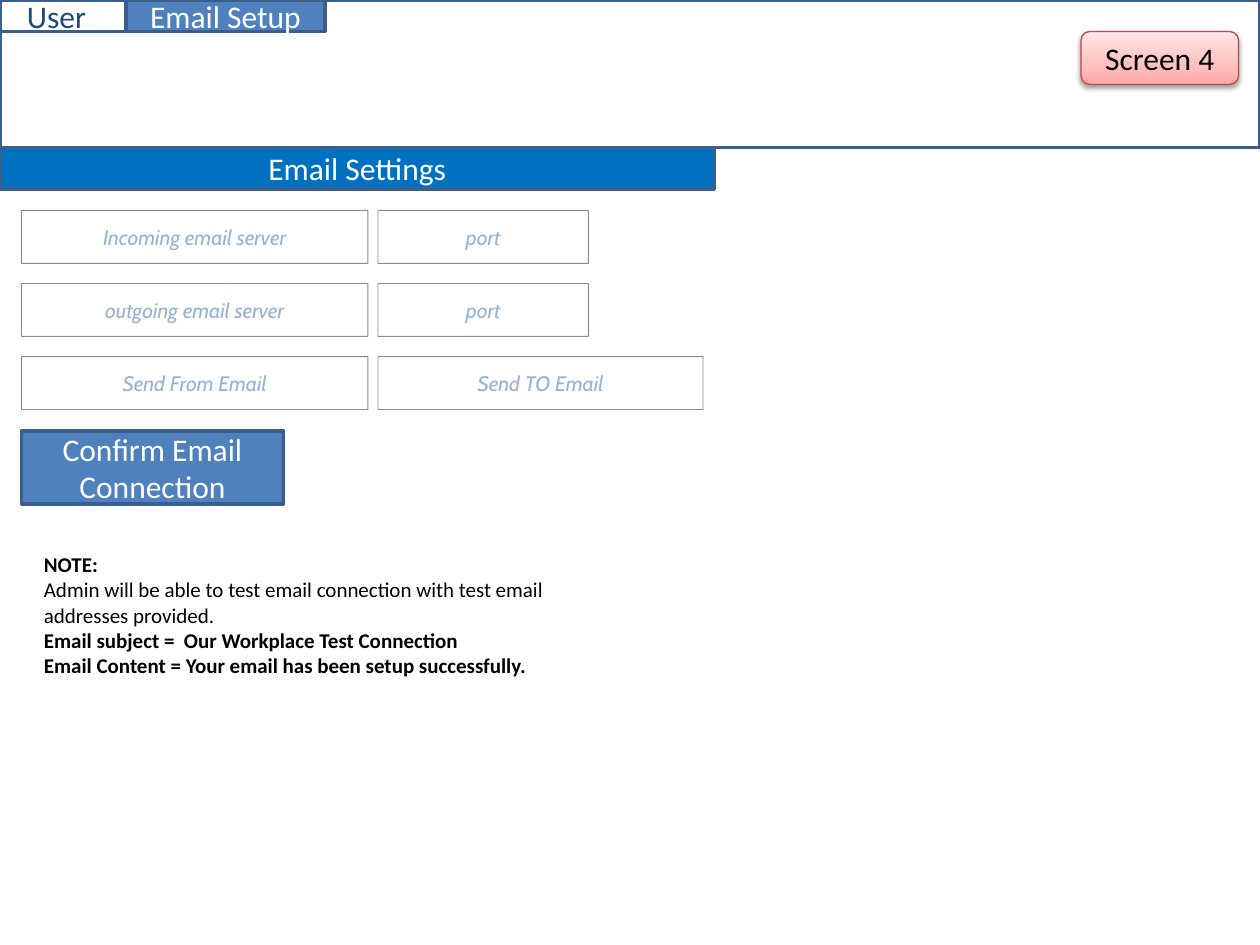
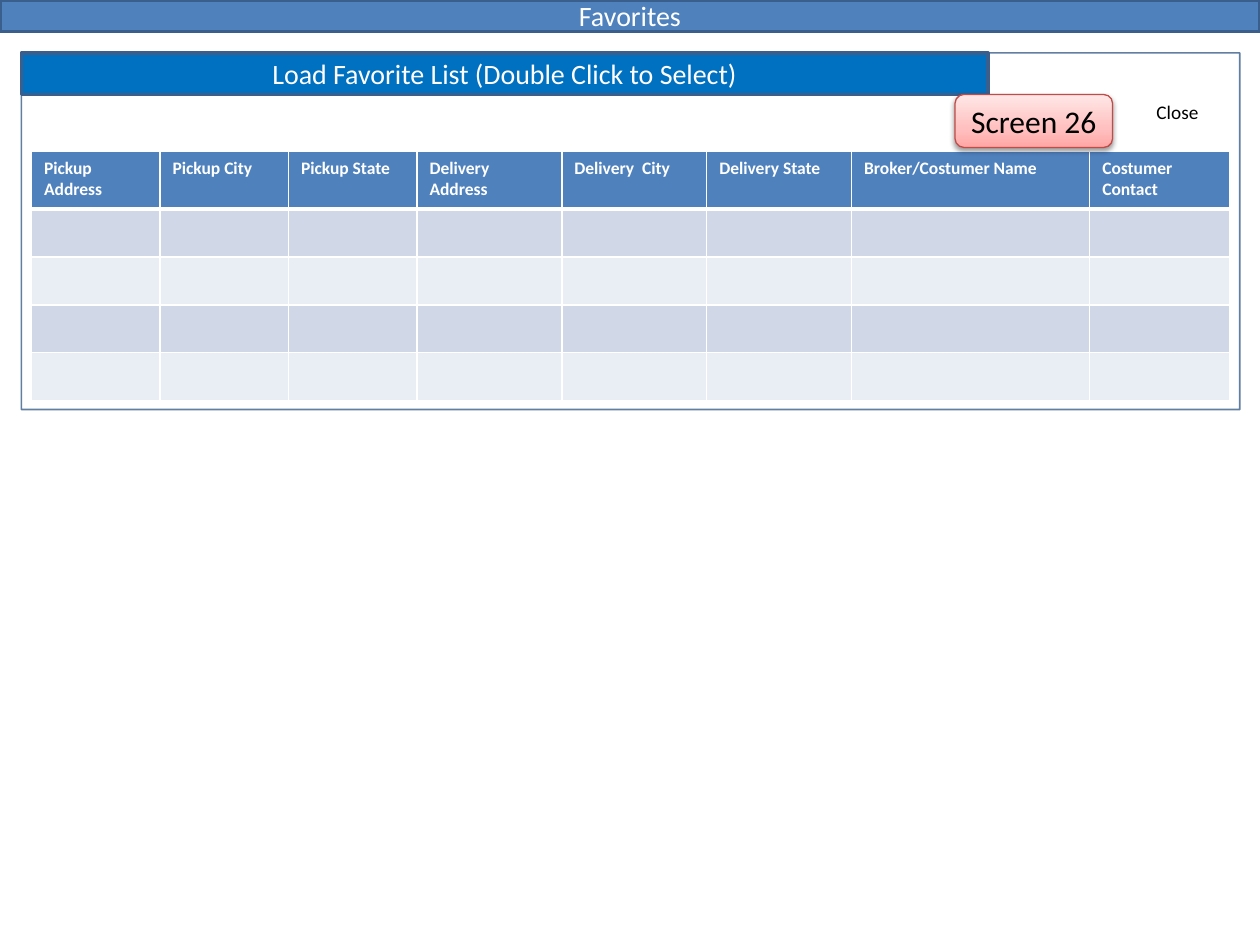
from dataclasses import dataclass

from lxml import etree
from pptx import Presentation
from pptx.dml.color import RGBColor
from pptx.enum.shapes import MSO_SHAPE
from pptx.enum.text import MSO_ANCHOR, MSO_AUTO_SIZE, PP_ALIGN
from pptx.oxml.ns import qn
from pptx.util import Inches, Pt

RECTANGLE = MSO_SHAPE.RECTANGLE
ROUNDED = MSO_SHAPE.ROUNDED_RECTANGLE
MIDDLE = MSO_ANCHOR.MIDDLE
CENTER, LEFT = PP_ALIGN.CENTER, PP_ALIGN.LEFT
GROW = MSO_AUTO_SIZE.SHAPE_TO_FIT_TEXT


@dataclass(frozen=True)
class Theme:
    font: str = "Calibri"
    field_font: str = "Cabin"
    white: str = "FFFFFF"
    black: str = "000000"
    navy: str = "1F497D"
    edge: str = "3A5F8C"
    bar: str = "4F81BD"
    title: str = "0070C0"
    hint: str = "95B3D7"
    field_edge: str = "0D0D0D"
    badge_edge: str = "BF4C48"
    badge_stops: tuple = ((0, "FFA6A5"), (35, "FFC0BF"), (100, "FFE7E7"))
    bands: tuple = ("D0D8E8", "E9EDF4")
    large: int = 18
    medium: int = 16
    body: int = 12
    small: int = 11
    table: int = 10


@dataclass(frozen=True)
class Box:
    left: float
    top: float
    width: float
    height: float

    def inside(self, left, top, width, height):
        return Box(self.left + left, self.top + top, width, height)

    def lengths(self):
        return [Inches(value) for value in (self.left, self.top, self.width, self.height)]


THEME = Theme()


def add_element(parent, tag, **attributes):
    element = etree.SubElement(parent, qn(tag))
    for name, value in attributes.items():
        element.set(name, str(value))
    return element


def add_color(parent, color, opacity=100):
    element = add_element(parent, "a:srgbClr", val=color)
    if opacity < 100:
        add_element(element, "a:alpha", val=opacity * 1000)


def write(frame, lines, size, color, font=THEME.font, bold=False, italic=False, align=CENTER):
    for index, line in enumerate(lines):
        paragraph = frame.paragraphs[0] if index == 0 else frame.add_paragraph()
        paragraph.alignment = align
        run = paragraph.add_run()
        run.text = line
        run.font.name = font
        run.font.size = Pt(size)
        run.font.color.rgb = RGBColor.from_string(color)
        run.font.bold = bold
        run.font.italic = italic


def add_block(slide, box, fill=None, edge=THEME.edge, weight=2, opacity=100, kind=RECTANGLE):
    shape = slide.shapes.add_shape(kind, *box.lengths())
    shape.shadow.inherit = False
    if fill:
        shape.fill.solid()
        shape.fill.fore_color.rgb = RGBColor.from_string(fill)
    else:
        shape.fill.background()
    shape.line.width = Pt(weight)
    line_fill = shape.line.fill
    line_fill.solid()
    line_fill.fore_color.rgb = RGBColor.from_string(edge)
    if opacity < 100:
        color = shape.line._ln.find(".//" + qn("a:srgbClr"))
        add_element(color, "a:alpha", val=opacity * 1000)
    shape.text_frame.word_wrap = True
    shape.text_frame.vertical_anchor = MIDDLE
    return shape


def add_bar(slide, box, lines, fill=THEME.bar, size=THEME.large, color=THEME.white):
    shape = add_block(slide, box, fill)
    write(shape.text_frame, lines, size, color)
    return shape


def add_text(slide, box, wrap=True):
    frame = slide.shapes.add_textbox(*box.lengths()).text_frame
    frame.word_wrap = wrap
    frame.auto_size = GROW
    return frame


def add_screen_badge(slide, box, label):
    shape = add_block(slide, box, edge=THEME.badge_edge, weight=0.75, kind=ROUNDED)
    shape.fill.gradient()
    shape.fill.gradient_angle = 90
    properties = shape._element.spPr
    stops = properties.find(".//" + qn("a:gsLst"))
    for stop in list(stops):
        stops.remove(stop)
    for position, color in THEME.badge_stops:
        add_color(add_element(stops, "a:gs", pos=position * 1000), color)
    shadow = add_element(
        properties.find(qn("a:effectLst")), "a:outerShdw",
        blurRad=Pt(3.1), dist=Pt(1.6), dir=5400000, rotWithShape=0,
    )
    add_color(shadow, THEME.black, 38)
    write(shape.text_frame, [label], THEME.large, THEME.black)


def add_header(slide, box):
    add_block(slide, box)
    user_tab = add_bar(slide, box.inside(0, 0, 1, 0.25), ["User"], None, color=THEME.navy)
    user_tab.text_frame.margin_right = Inches(0.2)
    add_bar(slide, box.inside(1, 0, 1.58, 0.25), ["Email Setup"])


def add_email_form(slide, box):
    add_bar(slide, box.inside(0, 0, box.width, 0.33), ["Email Settings"], THEME.title)
    rows = (
        ("Incoming email server", "port", 1.67),
        ("outgoing email server", "port", 1.67),
        ("Send From Email", "Send TO Email", 2.58),
    )
    for index, (first, second, second_width) in enumerate(rows):
        top = 0.5 + index * 0.58
        for hint, left, width in ((first, 0.17, 2.75), (second, 3, second_width)):
            field = add_block(
                slide, box.inside(left, top, width, 0.42),
                THEME.white, THEME.field_edge, 0.5, 48,
            )
            write(field.text_frame, [hint], THEME.body, THEME.hint, THEME.field_font, italic=True)
    add_bar(slide, box.inside(0.17, 2.25, 2.08, 0.58), ["Confirm Email", "Connection"])


def add_note(slide, box):
    frame = add_text(slide, box)
    lines = (
        ("NOTE:", True),
        ("Admin will be able to test email connection with test email addresses provided.", False),
        ("Email subject =  Our Workplace Test Connection", True),
        ("Email Content = Your email has been setup successfully.", True),
    )
    write(frame, [text for text, _ in lines], THEME.body, THEME.black, align=LEFT)
    for paragraph, (_, bold) in zip(frame.paragraphs, lines):
        paragraph.runs[0].font.bold = bold


def style_cell(cell, fill, top, bottom):
    properties = cell._tc.get_or_add_tcPr()
    for tag, weight in (("a:lnL", 1), ("a:lnR", 1), ("a:lnT", top), ("a:lnB", bottom)):
        line = add_element(properties, tag, w=Pt(weight))
        add_color(add_element(line, "a:solidFill"), THEME.white)
    cell.fill.solid()
    cell.fill.fore_color.rgb = RGBColor.from_string(fill)


def add_favorites_table(slide, box):
    columns = (
        ("Pickup Address", 1.02), ("Pickup City", 1.02), ("Pickup State", 1.02),
        ("Delivery Address", 1.15), ("Delivery  City", 1.15), ("Delivery State", 1.15),
        ("Broker/Costumer Name", 1.89), ("Costumer Contact", 1.11),
    )
    heights = [0.46] + [0.38] * 4
    table = slide.shapes.add_table(len(heights), len(columns), *box.lengths()).table
    for row, height in zip(table.rows, heights):
        row.height = Inches(height)
    for column_index, (heading, width) in enumerate(columns):
        table.columns[column_index].width = Inches(width)
        for row_index in range(len(heights)):
            cell = table.cell(row_index, column_index)
            if row_index == 0:
                style_cell(cell, THEME.bar, 1, 3)
                write(cell.text_frame, [heading], THEME.table, THEME.white, bold=True, align=LEFT)
            else:
                style_cell(cell, THEME.bands[(row_index - 1) % 2], 3 if row_index == 1 else 1, 1)
                paragraph = cell.text_frame.paragraphs[0]
                add_element(paragraph._p, "a:endParaRPr", sz=THEME.table * 100)


def add_favorites_panel(slide, box):
    add_bar(
        slide, box.inside(0, 0, 7.67, 0.33),
        ["Load Favorite List (Double Click to Select)"], THEME.title, THEME.medium,
    )
    add_block(slide, box, weight=1, opacity=80)
    close = add_text(slide, box.inside(8.91, 0.33, 0.55, 0.29), wrap=False)
    write(close, ["Close"], THEME.small, THEME.black, align=LEFT)
    add_favorites_table(slide, box.inside(0.08, 0.78, 9.5, 1.98))


def build_email_setup(slide, page):
    add_header(slide, page.inside(0, 0, page.width, 1.17))
    add_email_form(slide, page.inside(0, 1.17, 5.67, 2.83))
    add_note(slide, page.inside(0.25, 4.33, 4.42, 1.13))
    add_screen_badge(slide, page.inside(8.58, 0.25, 1.25, 0.42), "Screen 4")


def build_favorites(slide, page):
    add_bar(slide, page.inside(0, 0, page.width, 0.25), ["Favorites"], size=THEME.medium)
    add_favorites_panel(slide, page.inside(0.17, 0.42, 9.67, 2.83))
    add_screen_badge(slide, page.inside(7.58, 0.75, 1.25, 0.42), "Screen 26")


def main():
    page = Box(0, 0, 10, 7.5)
    presentation = Presentation()
    presentation.slide_width = Inches(page.width)
    presentation.slide_height = Inches(page.height)
    for build in (build_email_setup, build_favorites):
        build(presentation.slides.add_slide(presentation.slide_layouts[6]), page)
    presentation.save("out.pptx")


if __name__ == "__main__":
    main()
